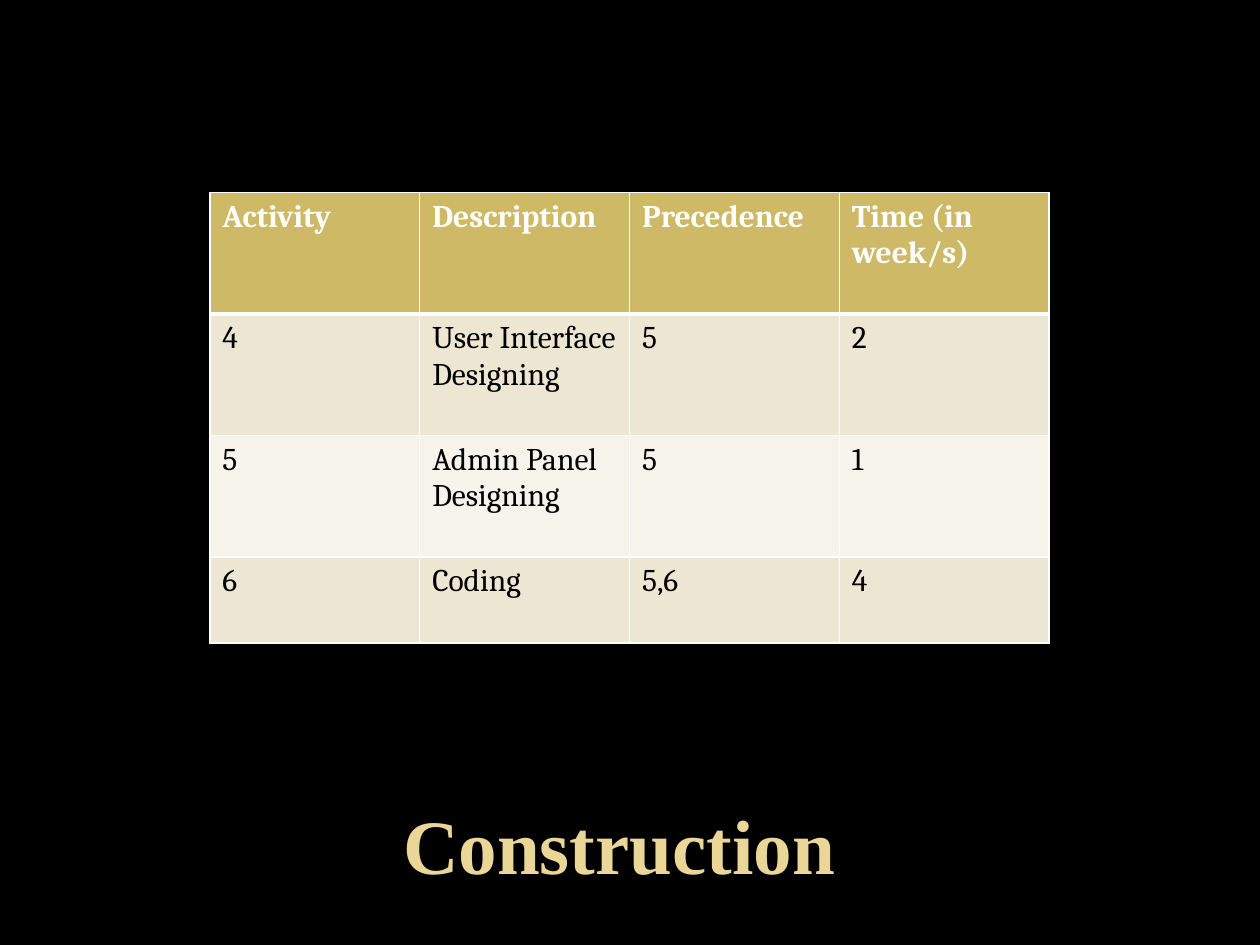
"""Build the Construction slide with its activity schedule table."""
import lxml.etree
import pptx
import pptx.dml.color
import pptx.enum.text
import pptx.oxml.ns
import pptx.util

Cm = pptx.util.Cm
Pt = pptx.util.Pt
RGBColor = pptx.dml.color.RGBColor
qn = pptx.oxml.ns.qn

BLACK = RGBColor(0x00, 0x00, 0x00)
WHITE = RGBColor(0xFF, 0xFF, 0xFF)
GOLD = RGBColor(0xCE, 0xB9, 0x66)
PALE_GOLD = RGBColor(0xEA, 0xD6, 0x96)
DARK_BAND = RGBColor(0xED, 0xE6, 0xD3)
LIGHT_BAND = RGBColor(0xF6, 0xF3, 0xEA)

ACTIVITIES = [
    ["Activity", "Description", "Precedence", "Time (in week/s)"],
    ["4", "User Interface Designing", "5", "2"],
    ["5", "Admin Panel Designing", "5", "1"],
    ["6", "Coding", "5,6", "4"],
]
ROW_HEIGHTS = [2.45, 2.45, 2.45, 1.73]
ROW_FILLS = [GOLD, DARK_BAND, LIGHT_BAND, DARK_BAND]
COLUMN_WIDTH = 4.23


def style_text(paragraph, font_name, size, color, bold):
    for run in paragraph.runs:
        run.font.name = font_name
        run.font.size = Pt(size)
        run.font.bold = bold
        run.font.color.rgb = color


def add_borders(cell, widths):
    properties = cell._tc.get_or_add_tcPr()
    for position, (side, width) in enumerate(widths.items()):
        line = lxml.etree.Element(qn(f"a:ln{side}"), w=str(Pt(width)))
        fill = lxml.etree.SubElement(line, qn("a:solidFill"))
        lxml.etree.SubElement(fill, qn("a:srgbClr"), val=str(WHITE))
        properties.insert(position, line)


presentation = pptx.Presentation()
presentation.slide_width = Cm(25.4)
presentation.slide_height = Cm(19.05)
slide = presentation.slides.add_slide(presentation.slide_layouts[6])
slide.background.fill.solid()
slide.background.fill.fore_color.rgb = BLACK

title = slide.shapes.add_textbox(Cm(0.84), Cm(15.67), Cm(23.29), Cm(2.67))
title.text_frame.word_wrap = True
title.text_frame.vertical_anchor = pptx.enum.text.MSO_ANCHOR.MIDDLE
title.text_frame.text = "Construction"
title_paragraph = title.text_frame.paragraphs[0]
title_paragraph.alignment = pptx.enum.text.PP_ALIGN.CENTER
style_text(title_paragraph, "Times New Roman", 44, PALE_GOLD, True)

table = slide.shapes.add_table(
    len(ACTIVITIES), len(ACTIVITIES[0]), Cm(4.23), Cm(3.88),
    Cm(COLUMN_WIDTH * len(ACTIVITIES[0])), Cm(sum(ROW_HEIGHTS)),
).table
for column in table.columns:
    column.width = Cm(COLUMN_WIDTH)

for row_index, activity in enumerate(ACTIVITIES):
    table.rows[row_index].height = Cm(ROW_HEIGHTS[row_index])
    is_header = row_index == 0
    borders = {"L": 1, "R": 1, "T": 3 if row_index == 1 else 1, "B": 3 if is_header else 1}
    for column_index, text in enumerate(activity):
        cell = table.cell(row_index, column_index)
        cell.text_frame.text = text
        style_text(cell.text_frame.paragraphs[0], "Cambria", 18,
                   WHITE if is_header else BLACK, is_header)
        cell.fill.solid()
        cell.fill.fore_color.rgb = ROW_FILLS[row_index]
        add_borders(cell, borders)

presentation.save("out.pptx")
